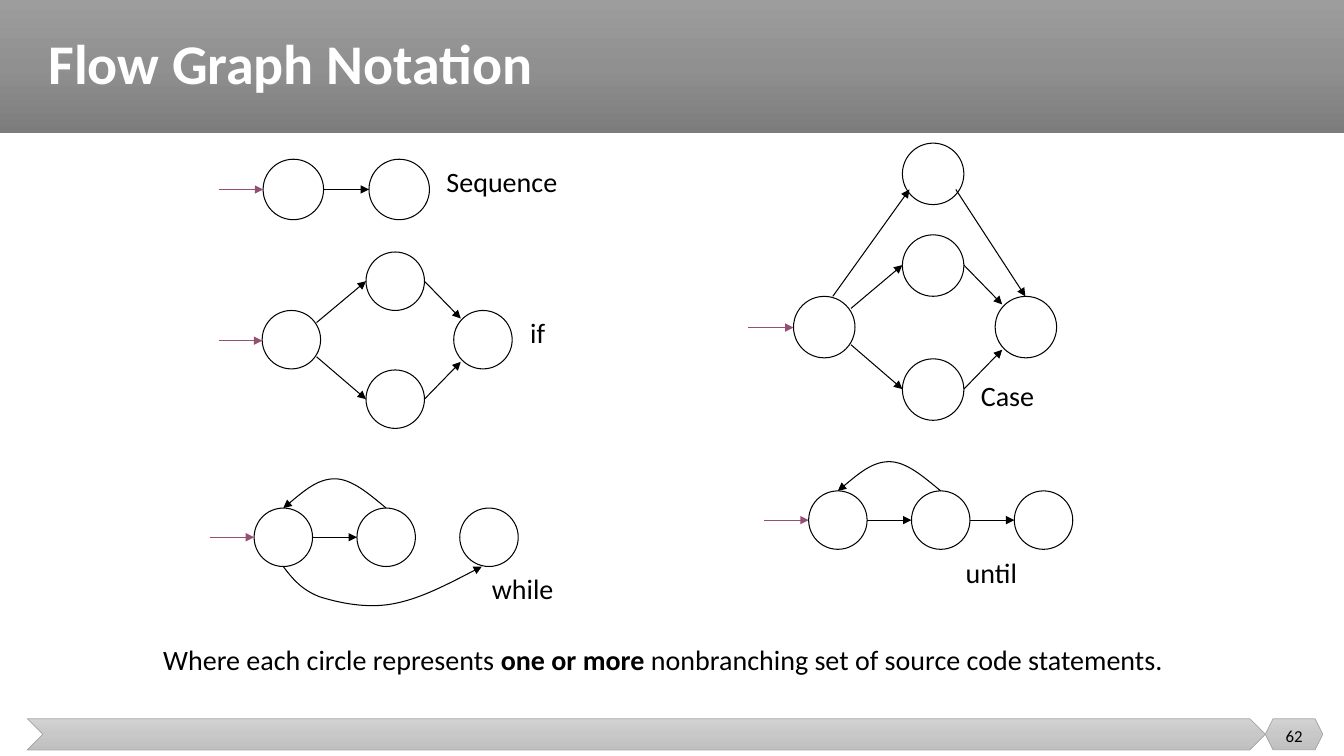
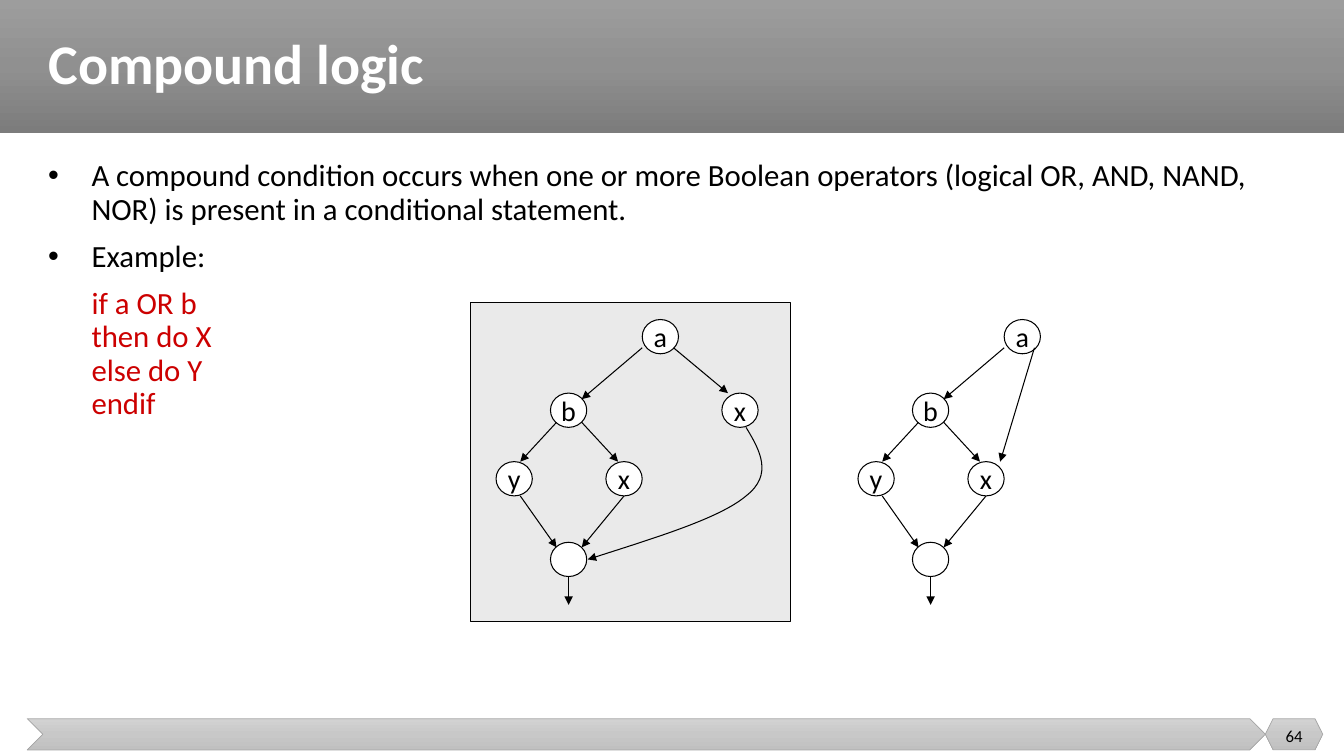
from copy import deepcopy
from dataclasses import dataclass

from lxml.etree import SubElement
from pptx import Presentation
from pptx.dml.color import RGBColor
from pptx.enum.shapes import MSO_CONNECTOR, MSO_SHAPE
from pptx.enum.text import MSO_ANCHOR, MSO_AUTO_SIZE, PP_ALIGN
from pptx.oxml.ns import qn
from pptx.util import Emu, Pt

EMU_PER_PX = 9144  # 100 px to the inch
TITLE_ONLY = 5
FONT = "Calibri"
BLACK, WHITE, RED, VIOLET = "000000", "FFFFFF", "CC0000", "954F72"
PANEL_GREY, BAND_LINE = "EAEAEA", "A5A5A5"
TITLE_GRADIENT = ("9D9D9D", "909090", "7C7C7C")
FOOTER_GRADIENT = ("D2D2D2", "C8C8C8", "C0C0C0")


@dataclass(frozen=True)
class Band:
    kind: MSO_SHAPE
    box: tuple[int, int, int, int]
    gradient: tuple[str, ...]
    outlined: bool = True


@dataclass(frozen=True)
class Node:
    left: int
    top: int
    width: int = 58
    height: int = 58
    text: str = ""


@dataclass(frozen=True)
class Arrow:
    start: tuple[int, int]
    end: tuple[int, int]
    colour: str = BLACK


@dataclass(frozen=True)
class Curve:
    """A start point followed by three Bezier points per segment."""
    points: tuple[tuple[int, int], ...]


@dataclass(frozen=True)
class Label:
    text: str
    left: int
    top: int
    width: int


@dataclass(frozen=True)
class Graph:
    """Parts in local px, placed at left and top and enlarged by scale."""
    left: int
    top: int
    nodes: tuple[Node, ...]
    arrows: tuple[Arrow, ...]
    curves: tuple[Curve, ...] = ()
    label: Label | None = None
    scale: float = 1

    def place(self, point: tuple[int, int]) -> tuple[int, int]:
        return (round(self.left + point[0] * self.scale),
                round(self.top + point[1] * self.scale))


BANDS = (
    Band(MSO_SHAPE.RECTANGLE, (0, 0, 1333, 132), TITLE_GRADIENT, False),
    Band(MSO_SHAPE.CHEVRON, (27, 713, 1228, 31), FOOTER_GRADIENT),
    Band(MSO_SHAPE.HEXAGON, (1255, 713, 57, 31), FOOTER_GRADIENT),
)

DIAMOND_NODES = (Node(43, 58), Node(146, 0), Node(146, 117), Node(233, 58))
DIAMOND_ARROWS = (
    Arrow((0, 88), (43, 88), VIOLET),
    Arrow((97, 70), (146, 29)),
    Arrow((97, 104), (146, 146)),
    Arrow((204, 29), (240, 66)),
    Arrow((204, 146), (240, 109)),
)
LOOP_NODES = tuple(Node(44 + 102 * column, 29) for column in range(3))
LOOP_ARROWS = (Arrow((0, 58), (44, 58), VIOLET), Arrow((102, 58), (146, 58)))
LOOP_BACK = Curve(((175, 29), (158, 15), (141, 0), (124, 0),
                   (107, 0), (90, 15), (73, 29)))
LOOP_EXIT = Curve(((73, 87), (82, 99), (91, 110), (109, 117),
                   (128, 123), (156, 129), (182, 124),
                   (209, 119), (239, 103), (270, 87)))
NOTATION_GRAPHS = (
    Graph(217, 158, (Node(44, 0, 60, 60), Node(149, 0, 60, 60)),
          (Arrow((0, 30), (44, 30), VIOLET), Arrow((104, 30), (149, 30))),
          label=Label("Sequence", 433, 158, 156)),
    Graph(217, 250, DIAMOND_NODES, DIAMOND_ARROWS,
          label=Label("if", 516, 308, 146)),
    Graph(742, 233, DIAMOND_NODES + (Node(146, -87),),
          DIAMOND_ARROWS + (Arrow((80, 58), (152, -43)),
                            Arrow((196, -43), (262, 58))),
          label=Label("Case", 963, 371, 99), scale=1.05),
    Graph(208, 475, LOOP_NODES, LOOP_ARROWS, (LOOP_BACK, LOOP_EXIT),
          Label("while", 478, 562, 146)),
    Graph(758, 458, LOOP_NODES, LOOP_ARROWS + (Arrow((204, 58), (248, 58)),),
          (LOOP_BACK,), Label("until", 948, 546, 146)),
)

LOGIC_NODES = tuple(
    Node(left, top, 36, 34, text) for left, top, text in
    ((145, 0, "a"), (54, 73, "b"), (109, 141, "x"), (0, 141, "y"), (54, 221, "")))
LOGIC_ARROWS = (
    Arrow((145, 28), (85, 79)),
    Arrow((60, 102), (24, 141)),
    Arrow((85, 102), (121, 141)),
    Arrow((24, 175), (60, 226)),
    Arrow((127, 175), (85, 226)),
    Arrow((72, 255), (72, 283)),
)
LOGIC_GRAPHS = (
    Graph(492, 317, LOGIC_NODES + (Node(224, 73, 36, 34, "x"),),
          LOGIC_ARROWS + (Arrow((176, 28), (230, 73)),),
          (Curve(((248, 107), (262, 130), (275, 154), (248, 175),
                  (222, 197), (156, 217), (91, 238))),)),
    Graph(851, 317, LOGIC_NODES,
          LOGIC_ARROWS + (Arrow((175, 28), (141, 141)),)),
)

CIRCLE_NOTE = (("Where each circle represents ", False), ("one or more ", True),
               ("nonbranching set of source code statements.", False))
LOGIC_TEXT = (
    ("A compound condition occurs when one or more Boolean operators "
     "(logical OR, AND, NAND, NOR) is present in a conditional statement.", True, BLACK),
    ("Example:", True, BLACK),
    ("if a OR b\vthen do X\velse do Y\vendif", False, RED),
)


def px(length: float) -> Emu:
    return Emu(round(length * EMU_PER_PX))


def rgb(colour: str) -> RGBColor:
    return RGBColor.from_string(colour)


def format_runs(paragraph, size: int, colour: str = BLACK, bold: bool = False) -> None:
    for run in paragraph.runs:
        run.font.name = FONT
        run.font.size = Pt(size)
        run.font.bold = bold
        run.font.color.rgb = rgb(colour)


def set_line(line, colour: str, width: float = 0.75) -> None:
    line.color.rgb = rgb(colour)
    line.width = Pt(width)


def add_arrowhead(shape) -> None:
    SubElement(shape.line._get_or_add_ln(), qn("a:tailEnd"), type="triangle")


def add_text_box(shapes, left: int, top: int, width: int, height: int):
    frame = shapes.add_textbox(px(left), px(top), px(width), px(height)).text_frame
    frame.word_wrap = True
    return frame


def add_panel(shapes, kind: MSO_SHAPE, box: tuple[int, int, int, int], colour: str):
    shape = shapes.add_shape(kind, *map(px, box))
    shape.shadow.inherit = False
    shape.fill.solid()
    shape.fill.fore_color.rgb = rgb(colour)
    set_line(shape.line, BLACK)
    return shape


def add_band(shapes, band: Band):
    shape = add_panel(shapes, band.kind, band.box, WHITE)
    shape.fill.gradient()
    shape.fill.gradient_angle = 270
    stop_list = shape._element.spPr.find(".//" + qn("a:gsLst"))
    stop_list.insert(1, deepcopy(stop_list[0]))
    for index, (stop, colour) in enumerate(zip(shape.fill.gradient_stops, band.gradient)):
        stop.position = index / 2
        stop.color.rgb = rgb(colour)
    if band.outlined:
        set_line(shape.line, BAND_LINE, 0.5)
    else:
        shape.line.fill.background()
    return shape


def move_bands_to_layout(slide) -> None:
    """Draw the bands once and hand them to the layout, behind its placeholders."""
    tree = slide.slide_layout.shapes._spTree
    for index, band in enumerate(BANDS):
        tree.insert(2 + index, add_band(slide.shapes, band)._element)


def add_slide(presentation, title_text: str, number: int):
    slide = presentation.slides.add_slide(presentation.slide_layouts[TITLE_ONLY])
    title = slide.shapes.title
    title.left, title.top, title.width, title.height = map(px, (38, 0, 1274, 132))
    frame = title.text_frame
    frame.text = title_text
    frame.auto_size = MSO_AUTO_SIZE.NONE
    frame.vertical_anchor = MSO_ANCHOR.MIDDLE
    paragraph = frame.paragraphs[0]
    paragraph.alignment = PP_ALIGN.LEFT
    paragraph.line_spacing = 0.9
    format_runs(paragraph, 40, WHITE, bold=True)

    frame = add_text_box(slide.shapes, 1255, 710, 57, 40)
    frame.text = str(number)
    frame.vertical_anchor = MSO_ANCHOR.MIDDLE
    frame.paragraphs[0].alignment = PP_ALIGN.CENTER
    format_runs(frame.paragraphs[0], 12)
    return slide


def add_node(shapes, graph: Graph, node: Node) -> None:
    box = (*graph.place((node.left, node.top)),
           round(node.width * graph.scale), round(node.height * graph.scale))
    circle = add_panel(shapes, MSO_SHAPE.OVAL, box, WHITE)
    if node.text:
        frame = circle.text_frame
        frame.text = node.text
        frame.word_wrap = False
        frame.vertical_anchor = MSO_ANCHOR.MIDDLE
        frame.paragraphs[0].alignment = PP_ALIGN.CENTER
        format_runs(frame.paragraphs[0], 20)


def add_arrow(shapes, graph: Graph, arrow: Arrow) -> None:
    ends = graph.place(arrow.start) + graph.place(arrow.end)
    connector = shapes.add_connector(MSO_CONNECTOR.STRAIGHT, *map(px, ends))
    set_line(connector.line, arrow.colour)
    add_arrowhead(connector)
    SubElement(connector._element.spPr, qn("a:effectLst"))


def add_curve(shapes, graph: Graph, curve: Curve) -> None:
    start, *others = map(graph.place, curve.points)
    builder = shapes.build_freeform(*start, scale=EMU_PER_PX)
    builder.add_line_segments(others, close=False)
    shape = builder.convert_to_shape()
    outline = shape._element.spPr.find(".//" + qn("a:path"))
    segments = outline.findall(qn("a:lnTo"))
    for first in range(0, len(segments), 3):
        bezier = SubElement(outline, qn("a:cubicBezTo"))
        for segment in segments[first:first + 3]:
            bezier.append(segment[0])
            outline.remove(segment)
    shape.shadow.inherit = False
    shape.fill.background()
    set_line(shape.line, BLACK)
    add_arrowhead(shape)


def add_graph(slide, graph: Graph) -> None:
    shapes = slide.shapes.add_group_shape().shapes
    for node in graph.nodes:
        add_node(shapes, graph, node)
    for arrow in graph.arrows:
        add_arrow(shapes, graph, arrow)
    for curve in graph.curves:
        add_curve(shapes, graph, curve)
    if graph.label:
        label = graph.label
        frame = add_text_box(shapes, label.left, label.top, label.width, 44)
        frame.text = label.text
        format_runs(frame.paragraphs[0], 20)


def add_circle_note(slide) -> None:
    paragraph = add_text_box(slide.shapes, 152, 633, 1056, 44).paragraphs[0]
    for text, _ in CIRCLE_NOTE:
        paragraph.add_run().text = text
    format_runs(paragraph, 20)
    for run, (_, bold) in zip(paragraph.runs, CIRCLE_NOTE):
        run.font.bold = bold


def add_logic_text(slide) -> None:
    frame = add_text_box(slide.shapes, 38, 154, 1274, 519)
    for index, (text, bulleted, colour) in enumerate(LOGIC_TEXT):
        paragraph = frame.add_paragraph() if index else frame.paragraphs[0]
        paragraph.text = text
        paragraph.line_spacing = 0.9
        if index:
            paragraph.space_before = Pt(10)
        properties = paragraph._p.get_or_add_pPr()
        properties.set("marL", str(px(43)))
        if bulleted:
            properties.set("indent", str(px(-43)))
            SubElement(properties, qn("a:buFont"), typeface="Arial")
            SubElement(properties, qn("a:buChar"), char="•")
        format_runs(paragraph, 22, colour)


def main() -> None:
    presentation = Presentation()
    presentation.slide_width, presentation.slide_height = px(1333), px(750)

    notation = add_slide(presentation, "Flow Graph Notation", 62)
    move_bands_to_layout(notation)
    for graph in NOTATION_GRAPHS:
        add_graph(notation, graph)
    add_circle_note(notation)

    logic = add_slide(presentation, "Compound logic", 64)
    add_panel(logic.shapes, MSO_SHAPE.RECTANGLE, (467, 300, 317, 317), PANEL_GREY)
    add_logic_text(logic)
    for graph in LOGIC_GRAPHS:
        add_graph(logic, graph)

    presentation.save("out.pptx")


if __name__ == "__main__":
    main()
